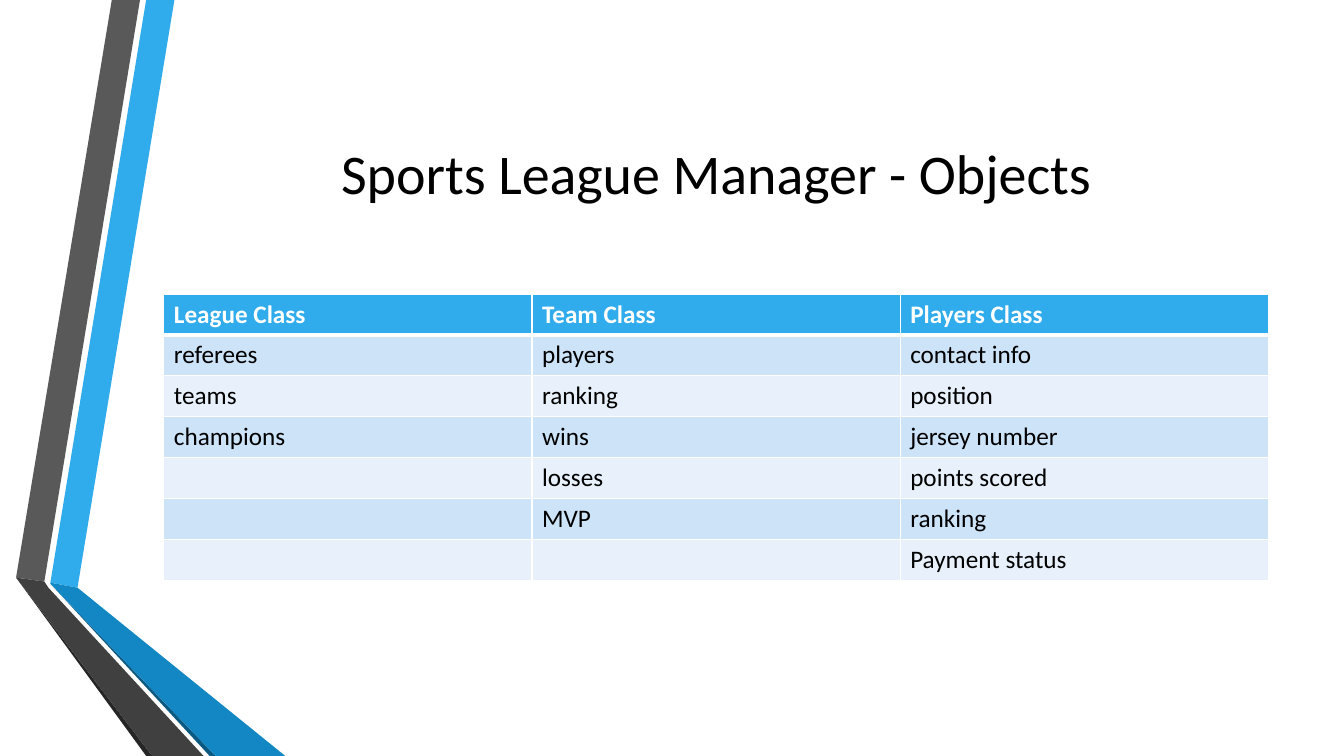
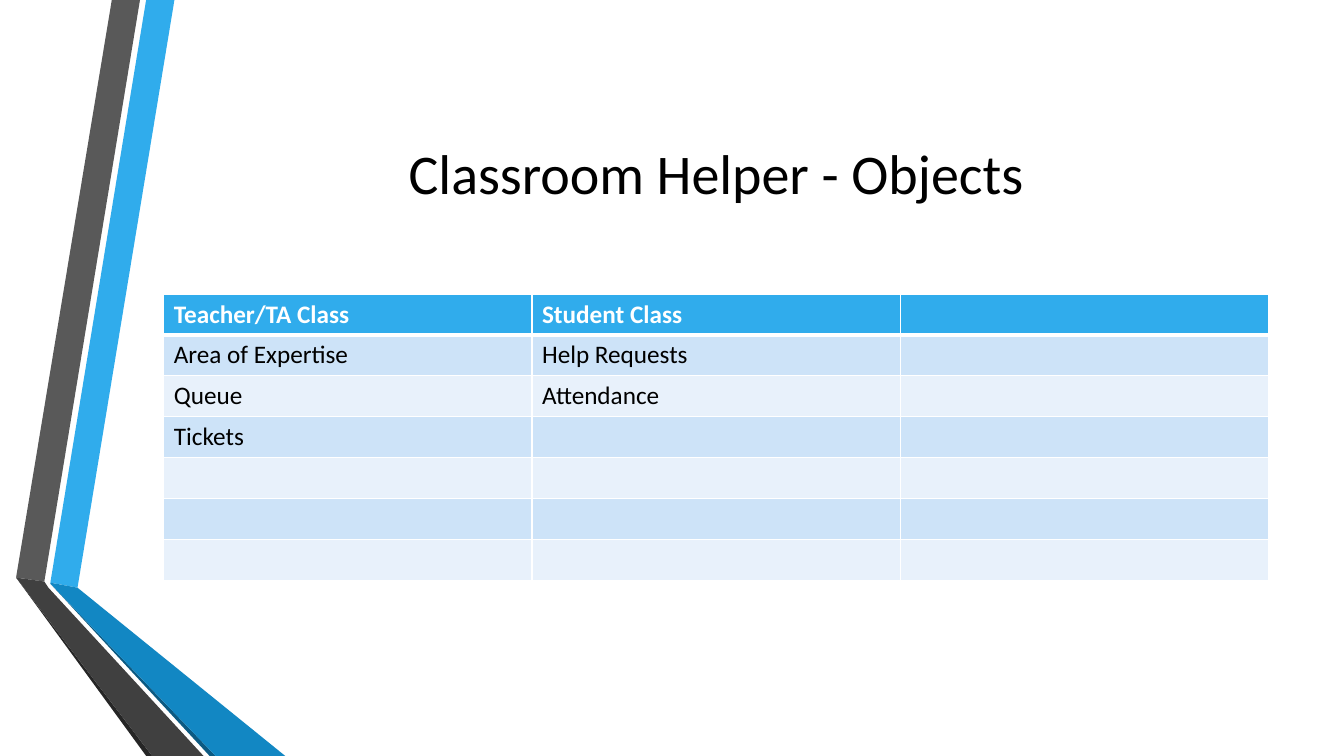
from lxml.etree import SubElement
from pptx import Presentation
from pptx.dml.color import RGBColor
from pptx.enum.text import MSO_ANCHOR, PP_ALIGN
from pptx.oxml.ns import qn
from pptx.util import Pt

COLORS = {
    "white": "FFFFFF",
    "black": "000000",
    "blue": "30ACEC",
    "deep_blue": "1287C3",
    "navy": "0C5A82",
    "gray": "595959",
    "charcoal": "404040",
    "shadow_gray": "262626",
    "row_dark": "CDE3F8",
    "row_light": "E8F1FB",
}
FONT = "Calibri"
LEFT, WIDTH = 117, 789
TITLE_TOP, TITLE_HEIGHT = 54, 138
TABLE_TOP, ROW_HEIGHT = 210, 29.2

BANDS = [
    ("blue", [(36, 416.2), (55.4, 419.8), (124.6, 0), (104.4, 0)]),
    ("gray", [(100, 0), (79.9, 0), (11.5, 412.6), (31.7, 415.4)]),
    ("shadow_gray", [(11.5, 412.6), (104.4, 540), (108.7, 540)]),
    ("navy", [(36, 416.9), (149.8, 540), (154.1, 540)]),
    ("deep_blue", [(36, 416.2), (36, 416.9), (154.1, 540), (203.8, 540), (55.4, 419.8)]),
    ("charcoal", [(145.4, 540), (34.6, 419.8), (31.7, 415.4), (11.5, 412.6), (108.7, 540)]),
]

SLIDES = [
    ("Sports League Manager - Objects", [
        ("League Class", "Team Class", "Players Class"),
        ("referees", "players", "contact info"),
        ("teams", "ranking", "position"),
        ("champions", "wins", "jersey number"),
        ("", "losses", "points scored"),
        ("", "MVP", "ranking"),
        ("", "", "Payment status"),
    ]),
    ("Classroom Helper - Objects", [
        ("Teacher/TA Class", "Student Class", ""),
        ("Area of Expertise", "Help Requests", ""),
        ("Queue", "Attendance", ""),
        ("Tickets", "", ""),
        ("", "", ""),
        ("", "", ""),
        ("", "", ""),
    ]),
]


def rgb(name):
    return RGBColor.from_string(COLORS[name])


def write_text(frame, text, size=18, color="black", bold=False, align=PP_ALIGN.LEFT):
    para = frame.paragraphs[0]
    para.alignment = align
    para.font.size = Pt(size)
    if text:
        span = para.add_run()
        span.text = text
        span.font.name = FONT
        span.font.size = Pt(size)
        span.font.bold = bold
        span.font.color.rgb = rgb(color)


def add_band(page, color, points):
    corners = [(Pt(x), Pt(y)) for x, y in points]
    builder = page.shapes.build_freeform(*corners[0])
    builder.add_line_segments(corners[1:], close=True)
    band = builder.convert_to_shape()
    band.shadow.inherit = False
    band.fill.solid()
    band.fill.fore_color.rgb = rgb(color)
    band.line.fill.background()


def add_title(page, text):
    box = page.shapes.add_textbox(Pt(LEFT), Pt(TITLE_TOP), Pt(WIDTH), Pt(TITLE_HEIGHT))
    frame = box.text_frame
    frame.word_wrap = True
    frame.vertical_anchor = MSO_ANCHOR.MIDDLE
    write_text(frame, text, size=40, align=PP_ALIGN.CENTER)


def set_borders(cell, top, bottom):
    properties = cell._tc.get_or_add_tcPr()
    for tag, width in (("a:lnL", 1), ("a:lnR", 1), ("a:lnT", top), ("a:lnB", bottom)):
        border = SubElement(properties, qn(tag), w=str(Pt(width)))
        fill = SubElement(border, qn("a:solidFill"))
        SubElement(fill, qn("a:srgbClr"), val=COLORS["white"])


def format_cell(cell, text, row):
    header = row == 0
    set_borders(cell, top=3 if row == 1 else 1, bottom=3 if header else 1)
    cell.fill.solid()
    stripe = "row_dark" if row % 2 else "row_light"
    cell.fill.fore_color.rgb = rgb("blue" if header else stripe)
    write_text(cell.text_frame, text, color="white" if header else "black", bold=header)


def add_class_table(page, rows):
    columns = len(rows[0])
    table = page.shapes.add_table(len(rows), columns, Pt(LEFT), Pt(TABLE_TOP),
                                  Pt(WIDTH), Pt(ROW_HEIGHT * len(rows))).table
    for column in table.columns:
        column.width = Pt(WIDTH / columns)
    for row, texts in enumerate(rows):
        table.rows[row].height = Pt(ROW_HEIGHT)
        for column, text in enumerate(texts):
            format_cell(table.cell(row, column), text, row)


def main():
    deck = Presentation()
    deck.slide_width, deck.slide_height = Pt(960), Pt(540)
    for title, rows in SLIDES:
        page = deck.slides.add_slide(deck.slide_layouts[6])
        for color, points in BANDS:
            add_band(page, color, points)
        add_title(page, title)
        add_class_table(page, rows)
    deck.save("out.pptx")


main()
